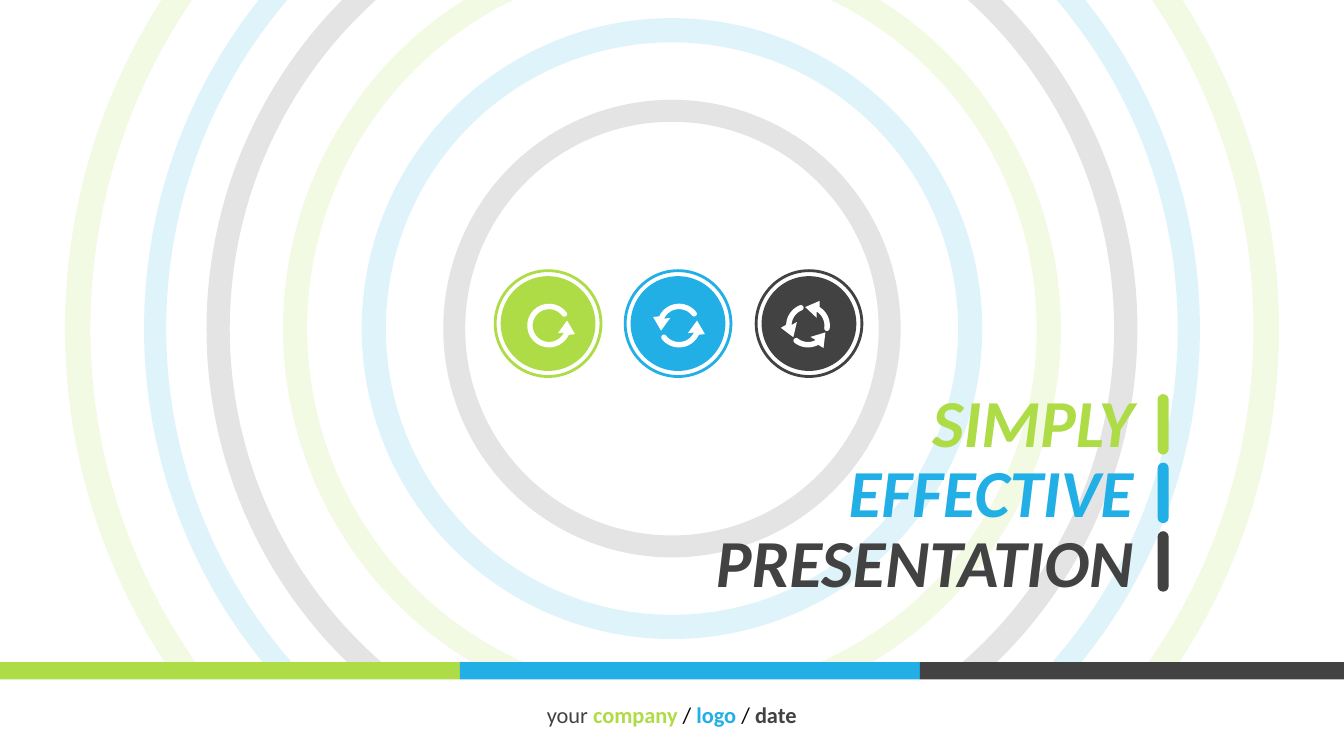
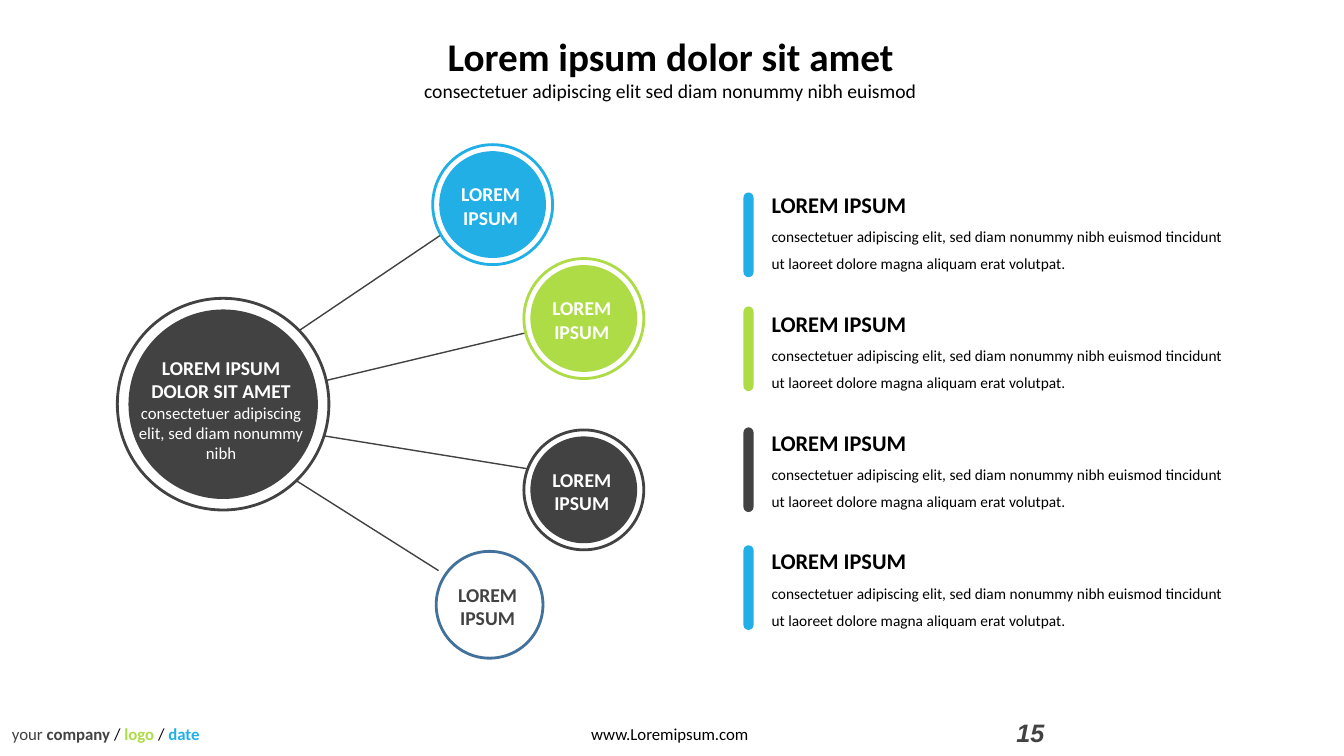
"""Build a cover slide and a hub-and-spoke slide on a grid of tenth-inch cells."""
import dataclasses
import math

import pptx
import pptx.dml.color
import pptx.enum.shapes
import pptx.enum.text
import pptx.oxml
import pptx.oxml.ns
import pptx.util


@dataclasses.dataclass(frozen=True)
class Theme:
    green: str = "AEDC46"
    blue: str = "21AFE6"
    dark: str = "424242"
    steel: str = "42719B"
    white: str = "FFFFFF"
    black: str = "000000"
    font: str = "Calibri"
    number_font: str = "Arial"
    cover_size: int = 48
    title_size: int = 28
    number_size: int = 18
    heading_size: int = 16
    label_size: int = 14
    footer_size: int = 12
    body_size: int = 11


theme = Theme()
CELL = pptx.util.Inches(0.1)
COLUMNS, ROWS = 133.4, 75
SHAPES = pptx.enum.shapes.MSO_SHAPE
ALIGN = pptx.enum.text.PP_ALIGN
TRIO = (theme.green, theme.blue, theme.dark)


def add_shape(slide, kind, box, fill, line=None, adjustment=None):
    shape = slide.shapes.add_shape(kind, *(round(value * CELL) for value in box))
    shape.shadow.inherit = False
    shape.fill.solid()
    shape.fill.fore_color.rgb = pptx.dml.color.RGBColor.from_string(fill)
    if line:
        shape.line.color.rgb = pptx.dml.color.RGBColor.from_string(line)
        shape.line.width = pptx.util.Pt(2)
    else:
        shape.line.fill.background()
    if adjustment is not None:
        shape.adjustments[0] = adjustment
    return shape


def add_text(slide, box, paragraphs, align=ALIGN.LEFT, wrap=True, spacing=None,
             font=theme.font, italic=False):
    shape = slide.shapes.add_textbox(*(round(value * CELL) for value in box))
    frame = shape.text_frame
    frame.word_wrap = wrap
    for index, (size, runs) in enumerate(paragraphs):
        paragraph = frame.add_paragraph() if index else frame.paragraphs[0]
        paragraph.alignment = align
        paragraph.line_spacing = spacing
        for text, color, bold in runs:
            run = paragraph.add_run()
            run.text = text
            run.font.name = font
            run.font.size = pptx.util.Pt(size)
            run.font.bold = bold
            run.font.italic = italic
            run.font.color.rgb = pptx.dml.color.RGBColor.from_string(color)


presentation = pptx.Presentation()
presentation.slide_width = round(COLUMNS * CELL)
presentation.slide_height = ROWS * CELL
blank = presentation.slide_layouts[6]
cover = presentation.slides.add_slide(blank)
diagram = presentation.slides.add_slide(blank)

RING_X, RING_Y = COLUMNS / 2, 32.6
rings = [(120.5, 0.021), (104.8, 0.021), (92.4, 0.025),
         (77.2, 0.031), (61.6, 0.039), (45.4, 0.048)]
for index, (diameter, thickness) in enumerate(rings):
    box = (RING_X - diameter / 2, RING_Y - diameter / 2, diameter, diameter)
    ring = add_shape(cover, SHAPES.DONUT, box, TRIO[index % 3], adjustment=thickness)
    color = ring.fill._xPr.find(".//" + pptx.oxml.ns.qn("a:srgbClr"))
    alpha = color.makeelement(pptx.oxml.ns.qn("a:alpha"), {"val": "14000"})
    color.append(alpha)

words = ("SIMPLY", "EFFECTIVE", "PRESENTATION")
add_text(cover, (58.2, 38.3, 55.3, 21.9),
         [(theme.cover_size, [(word, color, True)]) for word, color in zip(words, TRIO)],
         align=ALIGN.RIGHT, spacing=pptx.util.Pt(50), italic=True)

BADGE_Y, ARC_RADIUS, ARC_HALF = 32.1, 1.9, 0.27
badges = [(54.4, 54.5, 1, 298, 25), (67.3, 67.4, 2, 117, 25), (80.3, 80.2, 3, 66, 62)]
for index, (center, icon_x, arrows, sweep, end) in enumerate(badges):
    color = TRIO[index]
    for diameter, fill, line in ((10.5, theme.white, color), (9.4, color, None)):
        box = (center - diameter / 2, BADGE_Y - diameter / 2, diameter, diameter)
        add_shape(cover, SHAPES.OVAL, box, fill, line)
    add_shape(cover, SHAPES.ROUNDED_RECTANGLE, (114.9, 39.1 + 6.8 * index, 1.1, 6),
              color, adjustment=0.5)

    for arrow in range(arrows):
        tail = end + arrow * 360 / arrows
        angles = [tail + sweep * step / 24 for step in range(25)]
        polar = [(ARC_RADIUS + ARC_HALF, angle) for angle in reversed(angles)]
        outline = [(radius * math.cos(math.radians(angle)),
                    radius * math.sin(math.radians(angle))) for radius, angle in polar]
        base_x, base_y = (ARC_RADIUS * math.cos(math.radians(tail)),
                          ARC_RADIUS * math.sin(math.radians(tail)))
        heading = math.radians(tail - 22)
        out_x, out_y = math.cos(heading), math.sin(heading)
        outline += [(base_x + 0.85 * out_x, base_y + 0.85 * out_y),
                    (base_x + 1.3 * out_y, base_y - 1.3 * out_x),
                    (base_x - 0.85 * out_x, base_y - 0.85 * out_y)]
        outline += [((ARC_RADIUS - ARC_HALF) * math.cos(math.radians(angle)),
                     (ARC_RADIUS - ARC_HALF) * math.sin(math.radians(angle)))
                    for angle in angles]
        start = math.radians(tail + sweep)
        for step in range(1, 8):
            turn = start + math.pi - math.pi * step / 8
            outline.append((ARC_RADIUS * math.cos(start) + ARC_HALF * math.cos(turn),
                            ARC_RADIUS * math.sin(start) + ARC_HALF * math.sin(turn)))
        points = [((icon_x + x) * CELL, (32.3 + y) * CELL) for x, y in outline]
        builder = cover.shapes.build_freeform(*points[0])
        builder.add_line_segments(points[1:], close=True)
        icon = builder.convert_to_shape()
        icon.shadow.inherit = False
        icon.fill.solid()
        icon.fill.fore_color.rgb = pptx.dml.color.RGBColor.from_string(theme.white)
        icon.line.fill.background()

BAND_Y, BAND_WIDTH = 65.7, 45.65
add_shape(cover, SHAPES.RECTANGLE, (0, BAND_Y, COLUMNS, ROWS - BAND_Y), theme.white)
for index, color in enumerate(TRIO):
    left = index * BAND_WIDTH
    add_shape(cover, SHAPES.RECTANGLE,
              (left, BAND_Y, min(BAND_WIDTH, COLUMNS - left), 1.7), color)

footers = [(cover, (53.3, 69.1, 26.9, 3.7), theme.heading_size, TRIO),
           (diagram, (0.2, 71.3, 20.7, 3), theme.footer_size,
            (theme.dark, theme.green, theme.blue))]
for slide, box, size, (company, logo, date) in footers:
    runs = [("your ", theme.dark, False), ("company ", company, True),
            ("/ ", theme.black, False), ("logo ", logo, True),
            ("/ ", theme.black, False), ("date", date, True)]
    add_text(slide, box, [(size, runs)], wrap=False)

add_text(diagram, (57.7, 71.3, 17.7, 3),
         [(theme.footer_size, [("www.Loremipsum.com", theme.black, False)])], wrap=False)
add_text(diagram, (99.9, 70.7, 30, 4),
         [(theme.number_size, [("15", theme.dark, True)])],
         font=theme.number_font, italic=True)
add_text(diagram, (39.8, 2.7, 53.5, 8), [
    (theme.title_size, [("Lorem ipsum dolor sit amet", theme.black, True)]),
    (theme.label_size, [("consectetuer adipiscing elit sed diam nonummy nibh euismod",
                         theme.black, False)])], align=ALIGN.CENTER)

spokes = [(28.8, 33.4, 46.3, 21.6), (28.8, 38.6, 57.3, 31.8),
          (28.8, 42.7, 57.9, 47.4), (26.9, 46.1, 48.9, 60)]
for ends in spokes:
    spoke = diagram.shapes.add_connector(
        pptx.enum.shapes.MSO_CONNECTOR.STRAIGHT, *(round(value * CELL) for value in ends))
    spoke.line.color.rgb = pptx.dml.color.RGBColor.from_string(theme.dark)
    spoke.line.width = pptx.util.Pt(1)
    properties = spoke._element.spPr
    properties.append(properties.makeelement(pptx.oxml.ns.qn("a:effectLst"), {}))

nodes = [(22.15, 40.1, 21, 18.8, theme.dark, theme.dark, None),
         (48.9, 20.3, 11.9, 10.6, theme.blue, theme.blue, None),
         (57.95, 31.6, 11.9, 10.6, theme.green, theme.green, None),
         (57.95, 48.6, 11.9, 10.6, theme.dark, theme.dark, None),
         (48.6, 60, 11.9, 10.6, theme.white, theme.white, theme.steel)]
for index, (x, y, outer, inner, rim, fill, line) in enumerate(nodes):
    for diameter, disc, edge in ((outer, theme.white, rim), (inner, fill, line)):
        add_shape(diagram, SHAPES.OVAL,
                  (x - diameter / 2, y - diameter / 2, diameter, diameter), disc, edge)
    if index:
        color = theme.dark if line else theme.white
        add_text(diagram, (x - 4.35, y - 2.7, 8.3, 5.7),
                 [(theme.label_size, [(word, color, True)]) for word in ("LOREM", "IPSUM")],
                 align=ALIGN.CENTER, wrap=False)

add_text(diagram, (12.6, 34.8, 18.7, 11.7), [
    (theme.label_size, [("LOREM IPSUM DOLOR SIT AMET", theme.white, True)]),
    (theme.footer_size, [("consectetuer adipiscing elit, sed diam nonummy nibh",
                          theme.white, False)])], align=ALIGN.CENTER)

BODY = ("consectetuer adipiscing elit, sed diam nonummy nibh euismod tincidunt "
        "ut laoreet dolore magna aliquam erat volutpat.")
markers = [(19.1, theme.blue), (30.4, theme.green), (42.4, theme.dark), (54.1, theme.blue)]
for index, (top, color) in enumerate(markers):
    add_text(diagram, (75.6, 17.1 + 11.8 * index, 48.1, 10.5), [
        (theme.heading_size, [("LOREM IPSUM", theme.black, True)]),
        (theme.body_size, [(BODY, theme.black, False)])], spacing=1.5)
    add_shape(diagram, SHAPES.ROUNDED_RECTANGLE, (73.8, top, 1, 8.4), color, adjustment=0.5)

presentation.save("out.pptx")
